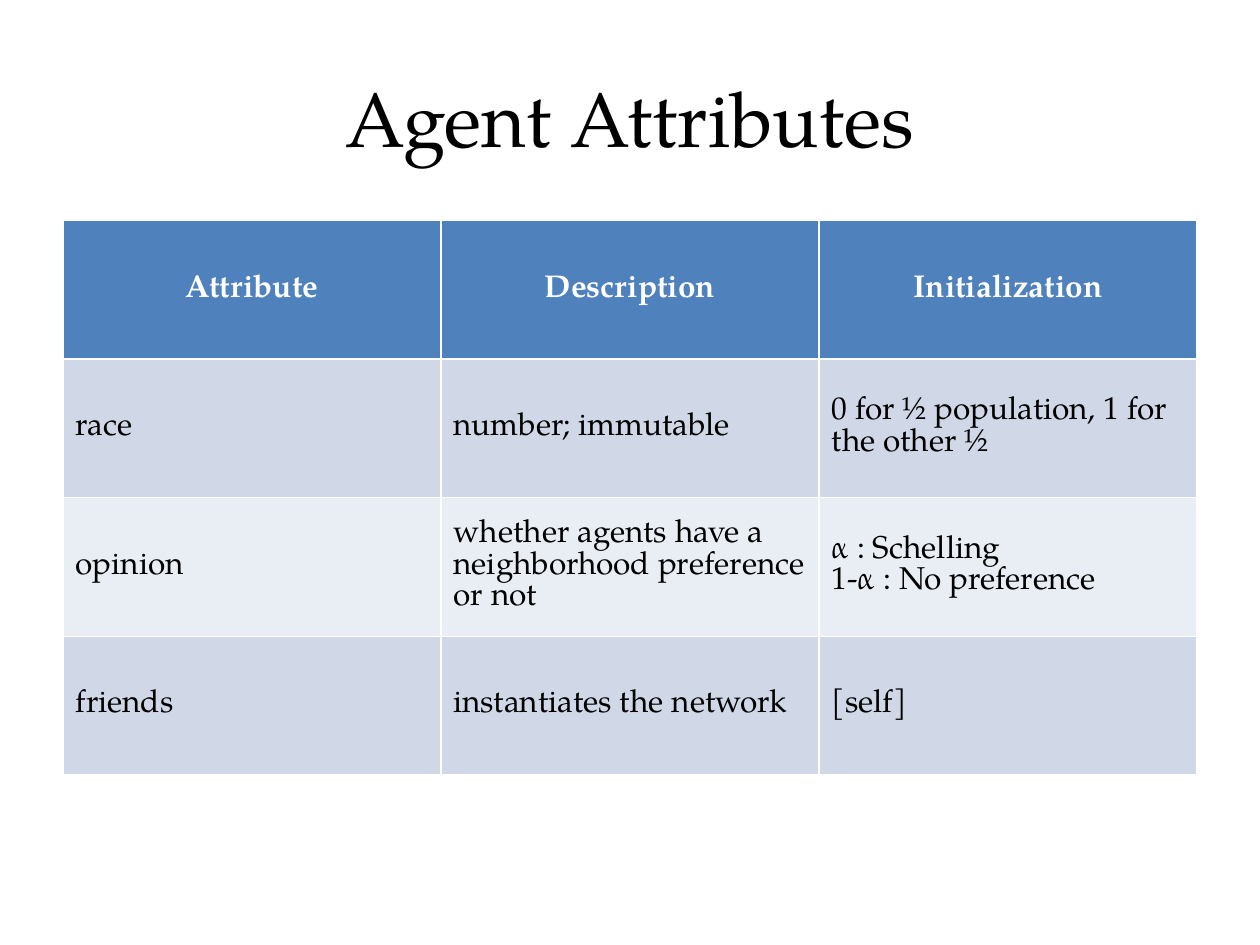
"""Build the Agent Attributes slide: a title above a table of attributes."""
from pptx import Presentation
from pptx.dml.color import RGBColor
from pptx.enum.text import MSO_ANCHOR as Anchor, PP_ALIGN as Align
from pptx.util import Inches, Pt

TITLE = "Agent Attributes"
ATTRIBUTES = [
    ("Attribute", "Description", "Initialization"),
    ("race", "number; immutable", "0 for ½ population, 1 for the other ½"),
    ("opinion", "whether agents have a neighborhood preference or not",
     "α : Schelling\n1-α : No preference"),
    ("friends", "instantiates the network", "[self]"),
]
FONT = "TeX Gyre Pagella"
HEADER_FILL = "4F81BD"
BAND_FILLS = ("E9EDF4", "D0D8E8")
WIDTH, HEIGHT = 10, 7.5
MARGIN = WIDTH / 20
CONTENT_WIDTH = WIDTH - 2 * MARGIN
TITLE_TOP, TITLE_HEIGHT = HEIGHT * 0.04, HEIGHT / 6
TABLE_TOP, ROW_HEIGHT = 1.75, 1.1


def color(code):
    return RGBColor.from_string(code)


def write(frame, text, size=18, ink="000000", bold=False, align=Align.LEFT):
    frame.word_wrap = True
    frame.text = text
    for paragraph in frame.paragraphs:
        paragraph.alignment = align
        for run in paragraph.runs:
            run.font.name = FONT
            run.font.size = Pt(size)
            run.font.bold = bold
            run.font.color.rgb = color(ink)


deck = Presentation()
deck.slide_width, deck.slide_height = Inches(WIDTH), Inches(HEIGHT)
slide = deck.slides.add_slide(deck.slide_layouts[6])

heading = slide.shapes.add_textbox(
    Inches(MARGIN), Inches(TITLE_TOP), Inches(CONTENT_WIDTH), Inches(TITLE_HEIGHT))
heading.text_frame.vertical_anchor = Anchor.MIDDLE
write(heading.text_frame, TITLE, size=44, align=Align.CENTER)

row_count, column_count = len(ATTRIBUTES), len(ATTRIBUTES[0])
attributes = slide.shapes.add_table(
    row_count, column_count, Inches(MARGIN), Inches(TABLE_TOP),
    Inches(CONTENT_WIDTH), Inches(ROW_HEIGHT * row_count)).table

for row, entries in enumerate(ATTRIBUTES):
    is_header = row == 0
    look = dict(ink="FFFFFF", bold=True, align=Align.CENTER) if is_header else {}
    for column, entry in enumerate(entries):
        cell = attributes.cell(row, column)
        cell.vertical_anchor = Anchor.MIDDLE
        cell.fill.solid()
        cell.fill.fore_color.rgb = color(HEADER_FILL if is_header else BAND_FILLS[row % 2])
        write(cell.text_frame, entry, **look)

deck.save("out.pptx")
